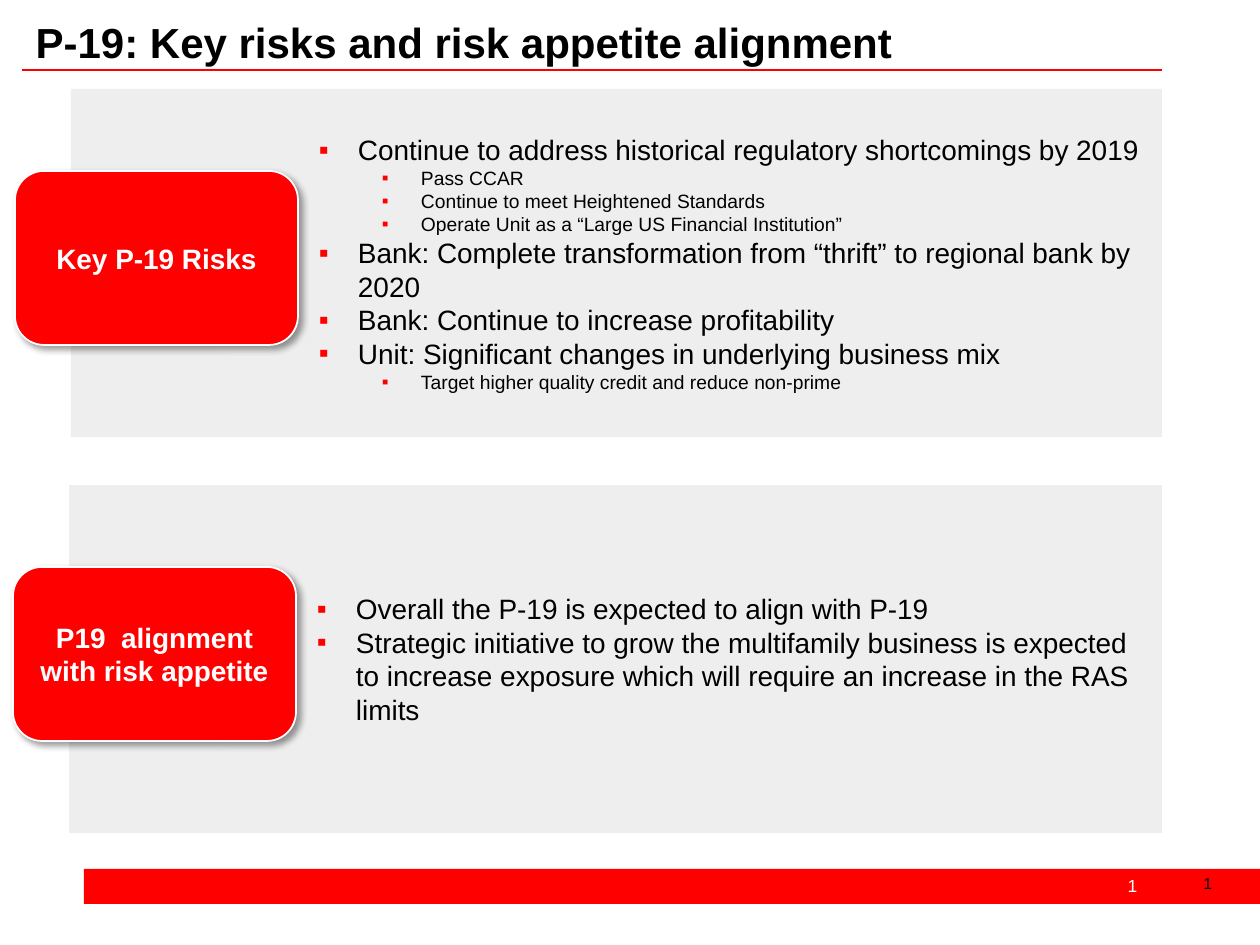
"""Build the slide on P-19 key risks and risk appetite alignment."""
import lxml.etree
import pptx
import pptx.dml.color
import pptx.enum.shapes
import pptx.enum.text
import pptx.oxml.ns
import pptx.util

TITLE = "P-19: Key risks and risk appetite alignment"
SECTIONS = [
    {"label": "Key P-19 Risks", "panel": (71, 89, 1091, 348), "tag": (15, 171),
     "bullets": [
         (0, "Continue to address historical regulatory shortcomings by 2019"),
         (1, "Pass CCAR"),
         (1, "Continue to meet Heightened Standards"),
         (1, "Operate Unit as a “Large US Financial Institution”"),
         (0, "Bank: Complete transformation from “thrift” to regional bank by 2020"),
         (0, "Bank: Continue to increase profitability"),
         (0, "Unit: Significant changes in underlying business mix"),
         (1, "Target higher quality credit and reduce non-prime")]},
    {"label": "P19  alignment with risk appetite", "panel": (69, 485, 1093, 348), "tag": (13, 567),
     "bullets": [
         (0, "Overall the P-19 is expected to align with P-19"),
         (0, "Strategic initiative to grow the multifamily business is expected to "
             "increase exposure which will require an increase in the RAS limits")]},
]
TAG_SIZE = (283, 174)
PANEL_INSET = 248
INDENTS = (39, 102)
HANG = 39
THEME = {"font": "Arial", "red": "FF0000", "grey": "EEEEEE", "white": "FFFFFF", "black": "000000",
         "title": 24, "levels": (16, 11), "tag": 16, "footer": 10, "page": 9}
SHAPES = pptx.enum.shapes.MSO_SHAPE
ANCHOR = pptx.enum.text.MSO_ANCHOR
ALIGN = pptx.enum.text.PP_ALIGN


def px(*lengths):
    return [round(length * 914400 / 126) for length in lengths]


def rgb(name):
    return pptx.dml.color.RGBColor.from_string(THEME[name])


def add_xml(parent, tag, **attributes):
    return lxml.etree.SubElement(parent, pptx.oxml.ns.qn(tag), attributes)


def write(para, text, size, color="black", bold=False, align=ALIGN.LEFT):
    para.alignment = align
    span = para.add_run()
    span.text = text
    span.font.name = THEME["font"]
    span.font.size = pptx.util.Pt(size)
    span.font.bold = bold
    span.font.color.rgb = rgb(color)


def write_bullet(para, level, text):
    para.level = level
    write(para, text, THEME["levels"][level])
    properties = para._p.get_or_add_pPr()
    properties.set("marL", str(px(INDENTS[level])[0]))
    properties.set("indent", str(-px(HANG)[0]))
    add_xml(add_xml(properties, "a:buClr"), "a:srgbClr", val=THEME["red"])
    add_xml(properties, "a:buFont", typeface=THEME["font"])
    add_xml(properties, "a:buChar", char="▪")


def add_box(kind, bounds, fill, line=None):
    box = page.shapes.add_shape(kind, *px(*bounds))
    box.shadow.inherit = False
    box.fill.solid()
    box.fill.fore_color.rgb = rgb(fill)
    if line:
        box.line.color.rgb = rgb(line)
        box.line.width = pptx.util.Pt(1)
    else:
        box.line.fill.background()
    box.text_frame.word_wrap = True
    box.text_frame.vertical_anchor = ANCHOR.MIDDLE
    return box


def add_shadow(box):
    effects = box._element.spPr.find(pptx.oxml.ns.qn("a:effectLst"))
    shadow = add_xml(effects, "a:outerShdw", blurRad="50800", dist="38100", dir="2700000",
                     algn="tl", rotWithShape="0")
    add_xml(add_xml(shadow, "a:srgbClr", val=THEME["black"]), "a:alpha", val="40000")


def add_number(bounds, size, color, align):
    box = page.shapes.add_textbox(*px(*bounds))
    box.text_frame.word_wrap = True
    write(box.text_frame.paragraphs[0], "1", size, color, align=align)


def add_section(section):
    panel = add_box(SHAPES.RECTANGLE, section["panel"], "grey")
    frame = panel.text_frame
    frame.margin_left = px(PANEL_INSET)[0]
    for index, (level, text) in enumerate(section["bullets"]):
        para = frame.add_paragraph() if index else frame.paragraphs[0]
        write_bullet(para, level, text)
    tag = add_box(SHAPES.ROUNDED_RECTANGLE, section["tag"] + TAG_SIZE, "red", "white")
    add_shadow(tag)
    write(tag.text_frame.paragraphs[0], section["label"], THEME["tag"], "white", True, ALIGN.CENTER)


deck = pptx.Presentation()
deck.slide_width, deck.slide_height = px(1260, 945)
page = deck.slides.add_slide(deck.slide_layouts[5])

title = page.shapes.title
title.left, title.top, title.width, title.height = px(23, 10, 1206, 63)
title.text_frame.auto_size = pptx.enum.text.MSO_AUTO_SIZE.NONE
title.text_frame.vertical_anchor = ANCHOR.TOP
write(title.text_frame.paragraphs[0], TITLE, THEME["title"], bold=True)

add_box(SHAPES.RECTANGLE, (84, 869, 1176, 35), "red")
add_number((1097, 869, 71, 34), THEME["footer"], "white", ALIGN.CENTER)
add_number((1191, 868, 53, 50), THEME["page"], "black", ALIGN.LEFT)

for section in SECTIONS:
    add_section(section)

rule = page.shapes.add_connector(pptx.enum.shapes.MSO_CONNECTOR.STRAIGHT, *px(22, 70, 1162, 70))
rule.line.color.rgb = rgb("red")
rule.line.width = pptx.util.Pt(0.75)
add_xml(rule._element.spPr, "a:effectLst")

deck.save("out.pptx")
